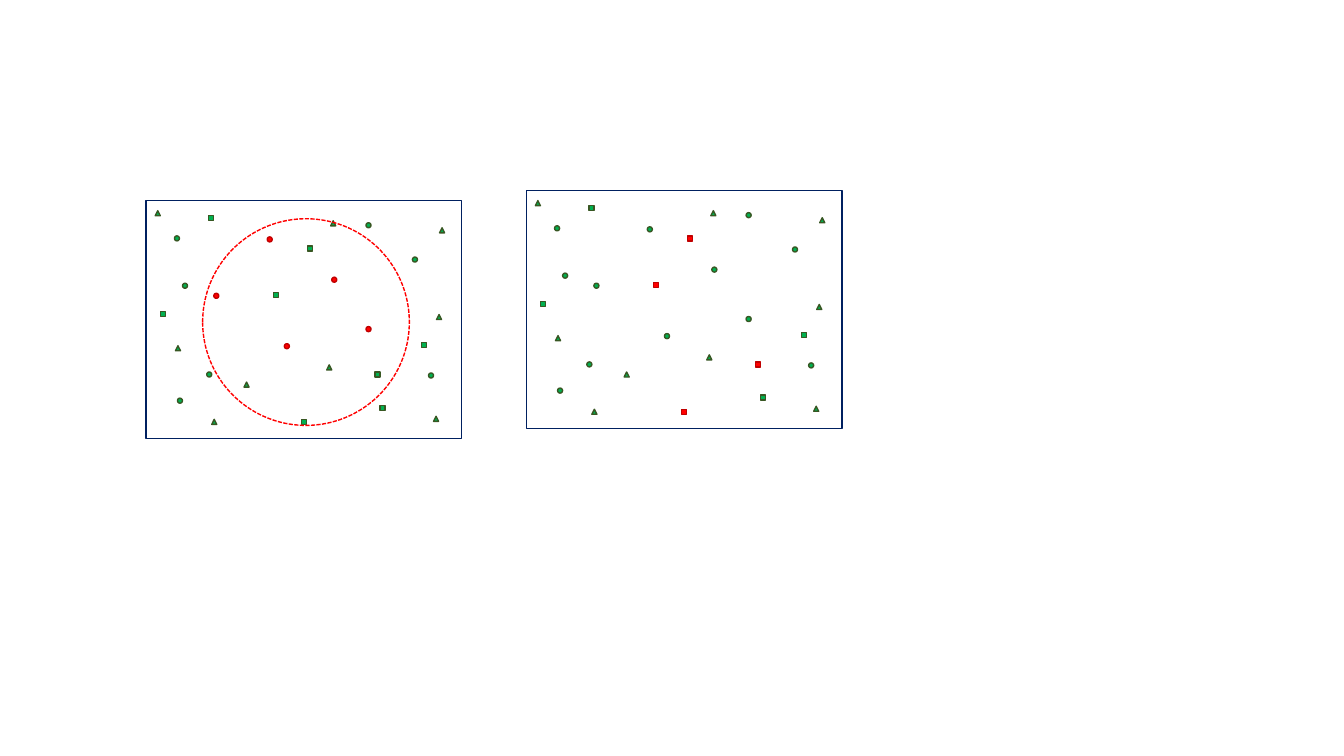
import pptx
import pptx.util
import pptx.dml.color
import pptx.enum.dml
import pptx.enum.shapes

COLORS = {
    "green": "00B050",
    "dark green": "385723",
    "red": "FF0000",
    "dark red": "C00000",
    "navy": "002060",
}
COLUMNS, ROWS = 1333, 750
MARK_SIZE = 5
PANEL_WIDTH, PANEL_HEIGHT = 313, 236
RING = (56, 18, 205, 205)

KINDS = pptx.enum.shapes.MSO_SHAPE
# Columns and rows of each mark, counted from the corner of its panel.
MARKS = {
    "inner circles": (KINDS.OVAL, [
        (67, 92), (184, 76), (218, 125), (120, 36), (137, 142)]),
    "outer circles": (KINDS.OVAL, [
        (60, 170), (28, 35), (36, 82), (264, 56), (280, 171), (218, 22),
        (31, 196)]),
    "triangles": (KINDS.ISOSCELES_TRIANGLE, [
        (9, 10), (291, 27), (97, 180), (285, 214), (183, 20), (288, 113),
        (29, 144), (65, 217), (179, 163)]),
    "inner squares": (KINDS.RECTANGLE, [
        (160, 45), (227, 170), (154, 217), (126, 91)]),
    "outer squares": (KINDS.RECTANGLE, [
        (273, 141), (232, 203), (62, 15), (14, 110)]),
}


class Canvas:
    """Holds the deck, its grid and the group being drawn on."""

    def __init__(self):
        self.deck = pptx.Presentation()
        self.deck.slide_width = pptx.util.Inches(13.33)
        self.deck.slide_height = pptx.util.Inches(7.5)
        self.column = self.deck.slide_width / COLUMNS
        self.row = self.deck.slide_height / ROWS
        self.page = self.deck.slides.add_slide(self.deck.slide_layouts[6])
        self.group = None

    def shape(self, kind, left, top, width, height, line, fill=None, dash=None):
        shape = self.group.shapes.add_shape(
            kind,
            round(left * self.column), round(top * self.row),
            round(width * self.column), round(height * self.row))
        shape.shadow.inherit = False
        if fill:
            shape.fill.solid()
            shape.fill.fore_color.rgb = self.color(fill)
        else:
            shape.fill.background()
        shape.line.color.rgb = self.color(line)
        shape.line.width = pptx.util.Pt(1)
        if dash:
            shape.line.dash_style = dash

    def color(self, name):
        return pptx.dml.color.RGBColor.from_string(COLORS[name])

    def panel(self, left, top, highlighted, ring=False):
        """Draws every mark in a frame, with one family of marks in red."""
        self.group = self.page.shapes.add_group_shape()
        for family, (kind, places) in MARKS.items():
            tone = "red" if family == highlighted else "green"
            for x, y in places:
                self.shape(kind, left + x, top + y, MARK_SIZE, MARK_SIZE,
                           line="dark " + tone, fill=tone)
        if ring:
            x, y, width, height = RING
            self.shape(KINDS.OVAL, left + x, top + y, width, height, line="red",
                       dash=pptx.enum.dml.MSO_LINE.SQUARE_DOT)
        self.shape(KINDS.RECTANGLE, left, top, PANEL_WIDTH, PANEL_HEIGHT,
                   line="navy")


def main():
    canvas = Canvas()
    canvas.panel(145, 199, highlighted="inner circles", ring=True)
    canvas.panel(522, 189, highlighted="inner squares")
    canvas.deck.save("out.pptx")


if __name__ == "__main__":
    main()
